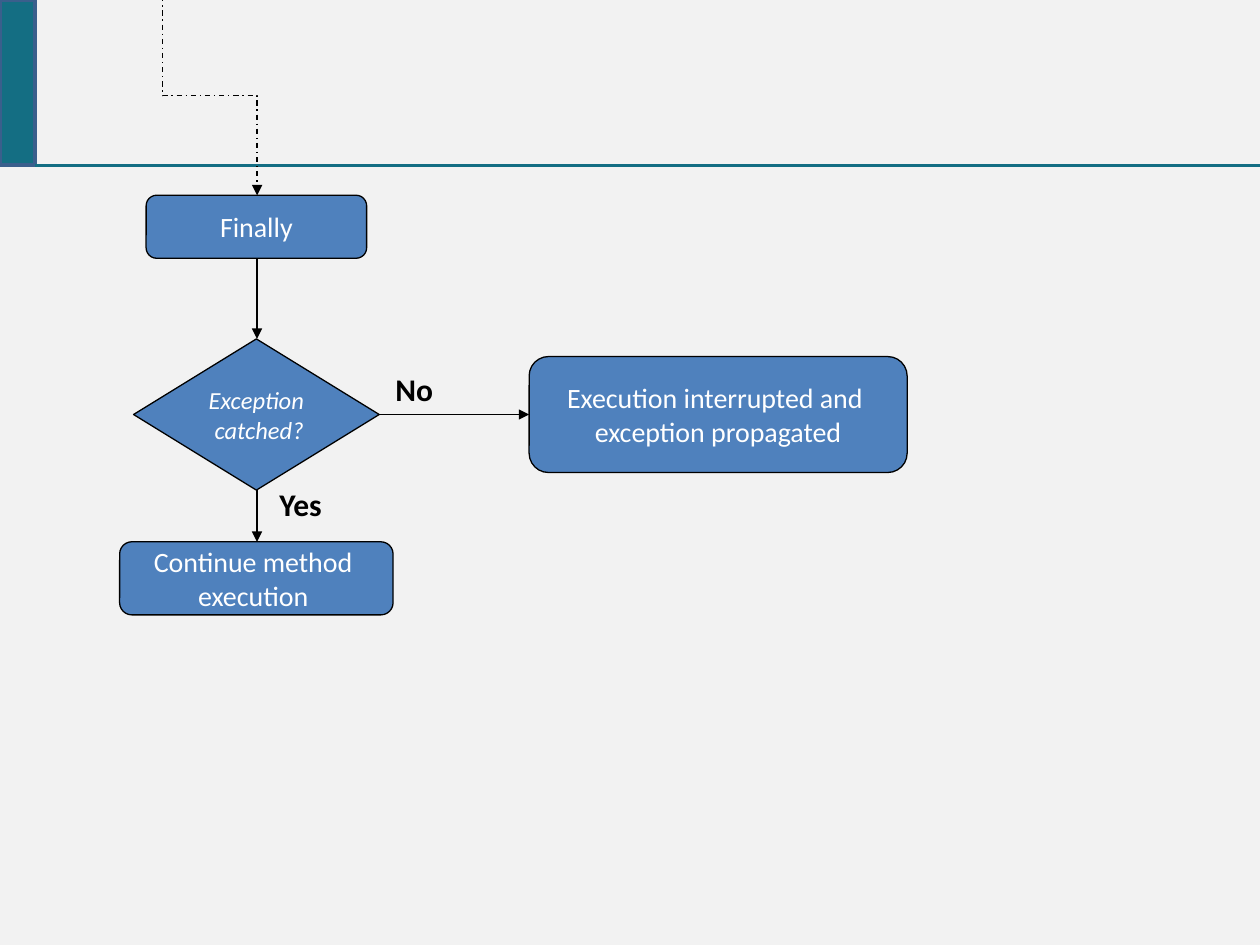
from dataclasses import dataclass

from lxml.etree import SubElement
from pptx import Presentation
from pptx.dml.color import RGBColor as RGB
from pptx.enum.dml import MSO_LINE as Dash
from pptx.enum.shapes import MSO_CONNECTOR as Link, MSO_SHAPE as Kind
from pptx.enum.text import MSO_ANCHOR as Anchor, MSO_AUTO_SIZE as Fit, PP_ALIGN as Align
from pptx.oxml.ns import qn
from pptx.util import Inches, Pt


@dataclass
class Theme:
    font: str = "Calibri"
    back: str = "F2F2F2"
    teal: str = "146E83"
    edge: str = "3A5F8C"
    node: str = "4F81BD"
    ink: str = "000000"
    white: str = "FFFFFF"
    box: int = 16
    ask: int = 14
    label: int = 18
    thin: float = 0.75
    rule: float = 1.75
    rim: float = 2


class Chart:
    """Draws flow chart parts on one slide in one style."""

    def __init__(self, slide, theme):
        self.slide, self.theme = slide, theme
        fill = slide.background.fill
        fill.solid()
        fill.fore_color.rgb = RGB.from_string(theme.back)

    def stroke(self, line, color, width):
        line.color.rgb = RGB.from_string(color)
        line.width = Pt(width)

    def text(self, frame, lines, size, color, align, bold=False, italic=False):
        frame.word_wrap = False
        for i, words in enumerate(lines):
            para = frame.paragraphs[0] if i == 0 else frame.add_paragraph()
            para.alignment = align
            run = para.add_run()
            run.text = words
            font = run.font
            font.name, font.size = self.theme.font, Pt(size)
            font.bold, font.italic = bold, italic
            font.color.rgb = RGB.from_string(color)

    def shape(self, kind, area, fill, edge, width):
        shape = self.slide.shapes.add_shape(kind, *map(Inches, area))
        shape.shadow.inherit = False
        shape.fill.solid()
        shape.fill.fore_color.rgb = RGB.from_string(fill)
        self.stroke(shape.line, edge, width)
        return shape

    def node(self, kind, area, lines, size, italic=False):
        look = self.theme
        shape = self.shape(kind, area, look.node, look.ink, look.thin)
        shape.text_frame.vertical_anchor = Anchor.MIDDLE
        self.text(shape.text_frame, lines, size, look.white, Align.CENTER, italic=italic)

    def label(self, area, words):
        look = self.theme
        frame = self.slide.shapes.add_textbox(*map(Inches, area)).text_frame
        self.text(frame, [words], look.label, look.ink, Align.LEFT, bold=True)
        frame.auto_size = Fit.SHAPE_TO_FIT_TEXT

    def line(self, start, end, color, width, kind=Link.STRAIGHT):
        line = self.slide.shapes.add_connector(kind, *map(Inches, (*start, *end)))
        self.stroke(line.line, color, width)
        SubElement(line._element.spPr, qn("a:effectLst"))
        return line

    def arrow(self, start, end, kind=Link.STRAIGHT):
        line = self.line(start, end, self.theme.ink, self.theme.thin, kind)
        SubElement(line._element.spPr.find(qn("a:ln")), qn("a:tailEnd"), type="triangle")
        return line

    def step(self, start, end):
        """Dashed elbow that runs down, across and down: a quarter turn of a flat one."""
        (x1, y1), (x2, y2) = start, end
        midx, midy = (x1 + x2) / 2, (y1 + y2) / 2
        wide, high = (y2 - y1) / 2, (x2 - x1) / 2
        line = self.arrow((midx + wide, midy - high), (midx - wide, midy + high), Link.ELBOW)
        line._element.spPr.find(qn("a:xfrm")).set("rot", str(270 * 60000))
        line.line.dash_style = Dash.DASH_DOT


def main():
    deck = Presentation()
    deck.slide_width, deck.slide_height = Inches(10), Inches(7.5)
    look = Theme()
    chart = Chart(deck.slides.add_slide(deck.slide_layouts[6]), look)

    # Header band
    chart.shape(Kind.RECTANGLE, (0, 0, 0.28, 1.31), look.teal, look.edge, look.rim)
    chart.line((0.28, 1.31), (10, 1.31), look.teal, look.rule)

    # Nodes
    box = Kind.ROUNDED_RECTANGLE
    chart.node(box, (1.16, 1.55, 1.75, 0.5), ["Finally"], look.box)
    chart.node(Kind.DIAMOND, (1.06, 2.69, 1.95, 1.2),
               ["Exception", " catched?"], look.ask, italic=True)
    chart.node(box, (0.95, 4.3, 2.17, 0.58), ["Continue method ", "execution "], look.box)
    chart.node(box, (4.2, 2.83, 3, 0.92),
               ["Execution interrupted and ", "exception propagated"], look.box)

    # Arrows, the vertical ones on a shared axis
    axis, row = 2.04, 3.29
    chart.arrow((axis, 2.05), (axis, 2.69))
    chart.arrow((axis, 3.89), (axis, 4.3))
    chart.arrow((3.01, row), (4.2, row))
    chart.step((1.29, -0.03), (axis, 1.55))

    # Branch labels
    chart.label((2.12, 3.8, 0.54, 0.4), "Yes")
    chart.label((3.04, 2.89, 0.5, 0.4), "No")

    deck.save("out.pptx")


if __name__ == "__main__":
    main()
